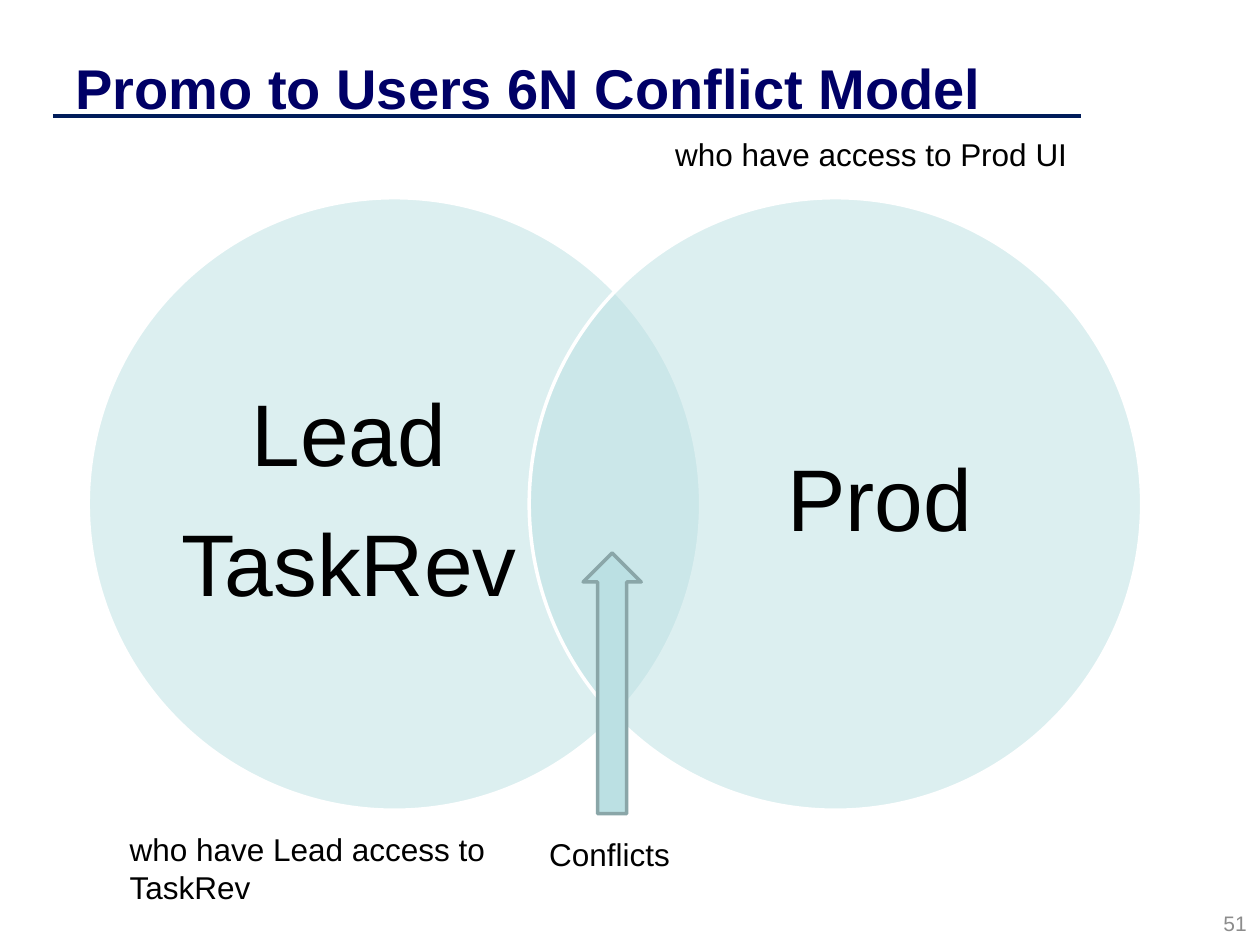
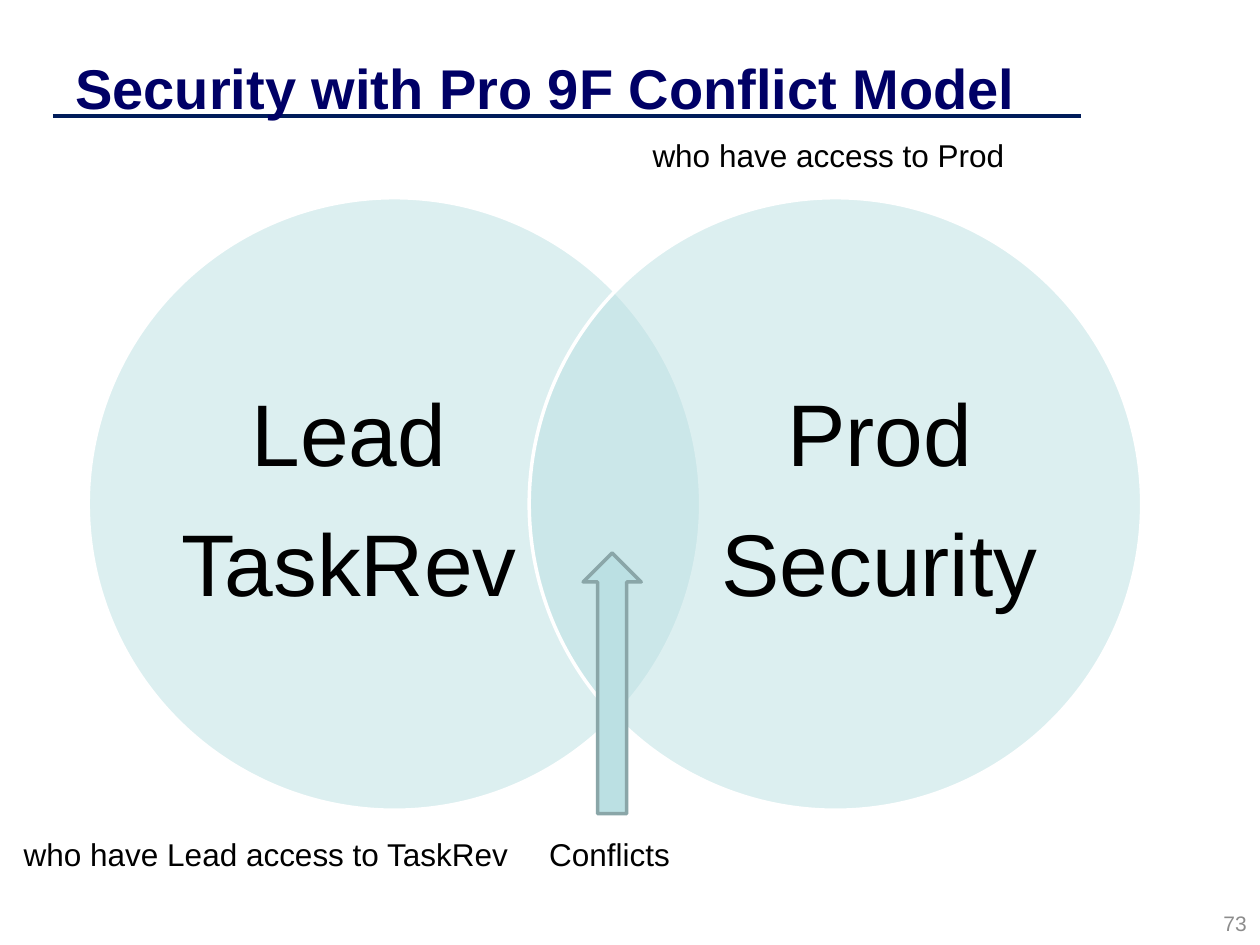
"""Builds two conflict-model slides, each a pair of overlapping circles."""
from pptx import Presentation
from pptx.dml.color import RGBColor
from pptx.enum import shapes, text
from pptx.oxml import ns, xmlchemy
from pptx.util import Pt

COLOURS = {
    "title": "000066",
    "rule": "001C5A",
    "circle": "BBE0E3",
    "outline": "FFFFFF",
    "arrow_edge": "8AA6A8",
    "text": "000000",
    "number": "8C8C8C",
}
CIRCLE_TOP, CIRCLE_SIZE = 113, 350
LABEL_TOP, LABEL_WIDTH, LABEL_HEIGHT = 154, 201.6, 267


class Painter:
    def __init__(self, deck):
        self.deck = deck
        self.font = "Arial"
        self.page = None

    def colour(self, name):
        return RGBColor.from_string(COLOURS[name])

    def start_page(self, title, number):
        self.page = self.deck.slides.add_slide(self.deck.slide_layouts[6])
        self.rule(30.2, 66.2, 617.8)
        self.text_box([title], (36, 21.6, 576, 56), 32, "title", bold=True,
                      anchor=text.MSO_ANCHOR.MIDDLE)
        self.text_box([number], (551.5, 515.5, 168, 24.5), 12, "number",
                      align=text.PP_ALIGN.RIGHT, anchor=text.MSO_ANCHOR.MIDDLE)

    def rule(self, left, top, right):
        line = self.page.shapes.add_connector(
            shapes.MSO_CONNECTOR.STRAIGHT, Pt(left), Pt(top), Pt(right), Pt(top))
        line.line.color.rgb = self.colour("rule")
        line.line.width = Pt(2)
        line._element.spPr.append(xmlchemy.OxmlElement("a:effectLst"))

    def shape(self, kind, area, outline, opacity=100):
        figure = self.page.shapes.add_shape(kind, *map(Pt, area))
        figure.shadow.inherit = False
        figure.fill.solid()
        figure.fill.fore_color.rgb = self.colour("circle")
        figure.line.color.rgb = self.colour(outline)
        figure.line.width = Pt(2)
        if opacity < 100:
            fill = figure._element.spPr.find(ns.qn("a:solidFill"))
            alpha = xmlchemy.OxmlElement("a:alpha")
            alpha.set("val", str(opacity * 1000))
            fill[0].append(alpha)

    def text_box(self, lines, area, size, colour, bold=False,
                 align=text.PP_ALIGN.LEFT, anchor=text.MSO_ANCHOR.TOP,
                 inset=True, spacing=1.0, after=0):
        box = self.page.shapes.add_textbox(*map(Pt, area))
        frame = box.text_frame
        frame.word_wrap = True
        frame.vertical_anchor = anchor
        if not inset:
            frame.margin_left = frame.margin_right = 0
            frame.margin_top = frame.margin_bottom = 0
        for index, line in enumerate(lines):
            para = frame.add_paragraph() if index else frame.paragraphs[0]
            para.alignment = align
            para.line_spacing = spacing
            para.space_after = Pt(after)
            span = para.add_run()
            span.text = line
            span.font.name = self.font
            span.font.size = Pt(size)
            span.font.bold = bold
            span.font.color.rgb = self.colour(colour)

    def circle(self, left, label_left, label):
        self.shape(shapes.MSO_SHAPE.OVAL,
                   (left, CIRCLE_TOP, CIRCLE_SIZE, CIRCLE_SIZE), "outline", 50)
        self.text_box(label, (label_left, LABEL_TOP, LABEL_WIDTH, LABEL_HEIGHT),
                      50, "text", align=text.PP_ALIGN.CENTER,
                      anchor=text.MSO_ANCHOR.MIDDLE, inset=False,
                      spacing=0.9, after=20)

    def caption(self, words, left, top, width, height=29):
        self.text_box([words], (left, top, width, height), 18, "text")

    def conflict_model(self, title, number, prod, lead_area, prod_note, prod_area):
        self.start_page(title, number)
        self.circle(50.4, 98.6, ["Lead", "TaskRev"])
        self.circle(302.4, 401.8, prod)
        self.shape(shapes.MSO_SHAPE.UP_ARROW, (333.2, 316, 33.2, 149), "arrow_edge")
        self.caption("Conflicts", 306.7, 473.8, 85)
        self.caption("who have Lead access to TaskRev", *lead_area)
        self.caption(prod_note, *prod_area)


def main():
    deck = Presentation()
    deck.slide_width, deck.slide_height = Pt(720), Pt(540)
    painter = Painter(deck)
    painter.conflict_model(
        "Promo to Users 6N Conflict Model", "51", ["Prod"],
        (67, 470.9, 283.7, 51), "who have access to Prod UI", (378.7, 73.4, 277))
    painter.conflict_model(
        "Security with Pro 9F Conflict Model", "73", ["Prod", "Security"],
        (6.5, 473.8, 306.7), "who have access to Prod", (365.8, 74.2, 277))
    deck.save("out.pptx")


if __name__ == "__main__":
    main()
